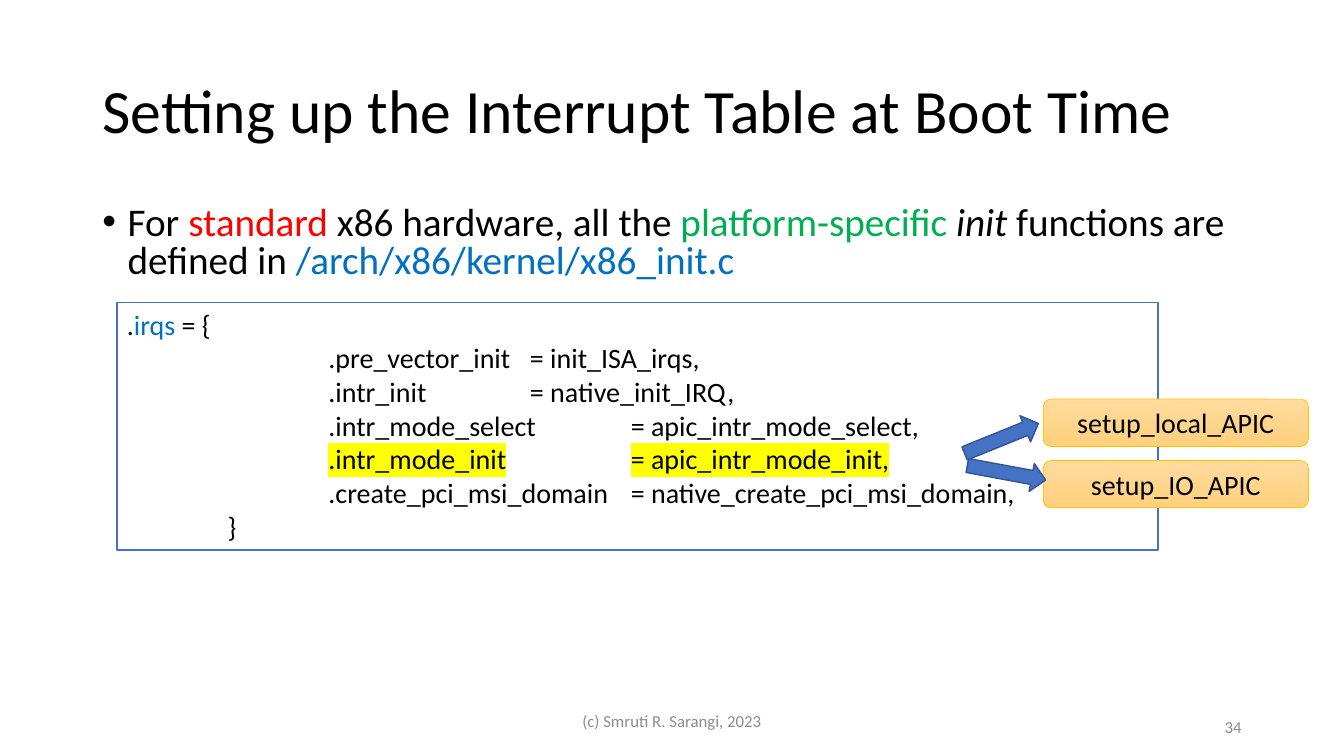
import pptx
import pptx.util
import pptx.dml.color
import pptx.enum.shapes
import pptx.enum.text
import pptx.oxml
import pptx.oxml.ns

Pt = pptx.util.Pt
Shape = pptx.enum.shapes.MSO_SHAPE
Align = pptx.enum.text.PP_ALIGN
Anchor = pptx.enum.text.MSO_ANCHOR
AutoSize = pptx.enum.text.MSO_AUTO_SIZE

FONT = "Calibri"
COLORS = {
    "black": "000000", "white": "FFFFFF", "grey": "8C8C8C",
    "red": "FF0000", "green": "00B050", "link": "0070C0",
    "yellow": "FFFF00", "blue": "4472C4", "navy": "325491",
    "gold": "FFC000", "gold_top": "FFDB9E", "gold_bottom": "FFD07C",
}
TAB_STOP = 72

# A line is a list of (text, format) spans
CODE = [
    [(".", {}), ("irqs", {"color": "link"}), (" = {", {})],
    [("\t\t.pre_vector_init\t= init_ISA_irqs,", {})],
    [("\t\t.intr_init\t\t= native_init_IRQ,", {})],
    [("\t\t.intr_mode_select\t= apic_intr_mode_select,", {})],
    [("\t\t.intr_mode_init\t\t= apic_intr_mode_init,", {"highlight": "yellow"})],
    [("\t\t.create_pci_msi_domain\t= native_create_pci_msi_domain,", {})],
    [("\t}", {})],
]
BULLET = [
    ("For ", {}), ("standard", {"color": "red"}),
    (" x86 hardware, all the ", {}),
    ("platform-specific ", {"color": "green"}),
    ("init ", {"italic": True}), ("functions are defined in ", {}),
    ("/arch/x86/kernel/x86_init.c", {"color": "link"}),
]


def rgb(name):
    return pptx.dml.color.RGBColor.from_string(COLORS[name])


def add_span(para, text, size, color="black", italic=False, highlight=None):
    span = para.add_run()
    span.text = text
    span.font.name = FONT
    span.font.size = Pt(size)
    span.font.italic = italic
    span.font.color.rgb = rgb(color)
    if highlight:
        mark = pptx.oxml.parse_xml(
            f'<a:highlight {pptx.oxml.ns.nsdecls("a")}>'
            f'<a:srgbClr val="{COLORS[highlight]}"/></a:highlight>')
        span.font.fill._xPr.find(pptx.oxml.ns.qn("a:solidFill")).addnext(mark)


def add_tab_stops(para, count):
    stops = "".join(f'<a:tab pos="{Pt(TAB_STOP * i)}" algn="l"/>'
                    for i in range(1, count + 1))
    para._p.get_or_add_pPr().append(pptx.oxml.parse_xml(
        f'<a:tabLst {pptx.oxml.ns.nsdecls("a")}>{stops}</a:tabLst>'))


def write(box, lines, size, color="black", align=Align.LEFT,
          anchor=Anchor.MIDDLE, spacing=1.0, hanging=0, tabs=0):
    """Fill a box with lines, each a string or a list of spans."""
    frame = box.text_frame
    frame.word_wrap = True
    frame.auto_size = AutoSize.NONE
    frame.vertical_anchor = anchor
    for number, line in enumerate(lines):
        para = frame.add_paragraph() if number else frame.paragraphs[0]
        para.alignment = align
        para.line_spacing = spacing
        para.space_before = Pt(0)
        if hanging:
            properties = para._p.get_or_add_pPr()
            properties.set("marL", str(Pt(hanging)))
            properties.set("indent", str(Pt(-hanging)))
        if tabs:
            add_tab_stops(para, tabs)
        for text, style in ([(line, {})] if isinstance(line, str) else line):
            add_span(para, text, size, **{"color": color, **style})


def fill_placeholder(box, place, lines, size, **style):
    box.left, box.top, box.width, box.height = map(Pt, place)
    write(box, lines, size, **style)


def add_label(page, place, text):
    box = page.shapes.add_textbox(*map(Pt, place[:4]))
    write(box, [text], 12, color="grey", align=place[4])


def add_box(page, kind, place, fill, line, weight=1, rotation=0):
    box = page.shapes.add_shape(kind, *map(Pt, place))
    box.shadow.inherit = False
    box.rotation = rotation
    box.line.color.rgb = rgb(line)
    box.line.width = Pt(weight)
    if isinstance(fill, tuple):
        box.fill.gradient()
        box.fill.gradient_angle = 270
        for stop, name in zip(box.fill.gradient_stops, fill):
            stop.color.rgb = rgb(name)
    else:
        box.fill.solid()
        box.fill.fore_color.rgb = rgb(fill)
    return box


def main():
    deck = pptx.Presentation()
    deck.slide_width, deck.slide_height = Pt(960), Pt(540)
    page = deck.slides.add_slide(deck.slide_layouts[1])

    # Title and bullet
    fill_placeholder(page.shapes.title, (66, 28.8, 828, 104.4),
                     ["Setting up the Interrupt Table at Boot Time"], 44,
                     spacing=0.9)
    fill_placeholder(page.placeholders[1], (66, 144, 828, 67), [BULLET], 28,
                     anchor=Anchor.TOP, spacing=0.8, hanging=18)

    # Footer
    add_label(page, (318, 500.4, 324, 28.8, Align.CENTER),
              "(c) Smruti R. Sarangi, 2023")
    add_label(page, (678, 504.7, 216, 28.8, Align.RIGHT), "34")

    # Code listing
    listing = add_box(page, Shape.RECTANGLE, (83.5, 216, 743.8, 177),
                      "white", "blue")
    write(listing, CODE, 20, anchor=Anchor.TOP, tabs=5)

    # Functions called by the highlighted line
    for row, name in enumerate(["setup_local_APIC", "setup_IO_APIC"]):
        callee = add_box(page, Shape.ROUNDED_RECTANGLE,
                         (745.2, 285.1 + 43.9 * row, 189.4, 33.8),
                         ("gold_top", "gold_bottom"), "gold", weight=0.5)
        write(callee, [name], 20, align=Align.CENTER)

    # Arrows to them
    for left, top, rotation in [(686.9, 303.1, 337.9), (690.5, 327.6, 10.5)]:
        add_box(page, Shape.RIGHT_ARROW, (left, top, 56.9, 20.2),
                "blue", "navy", rotation=rotation)

    deck.save("out.pptx")


if __name__ == "__main__":
    main()
